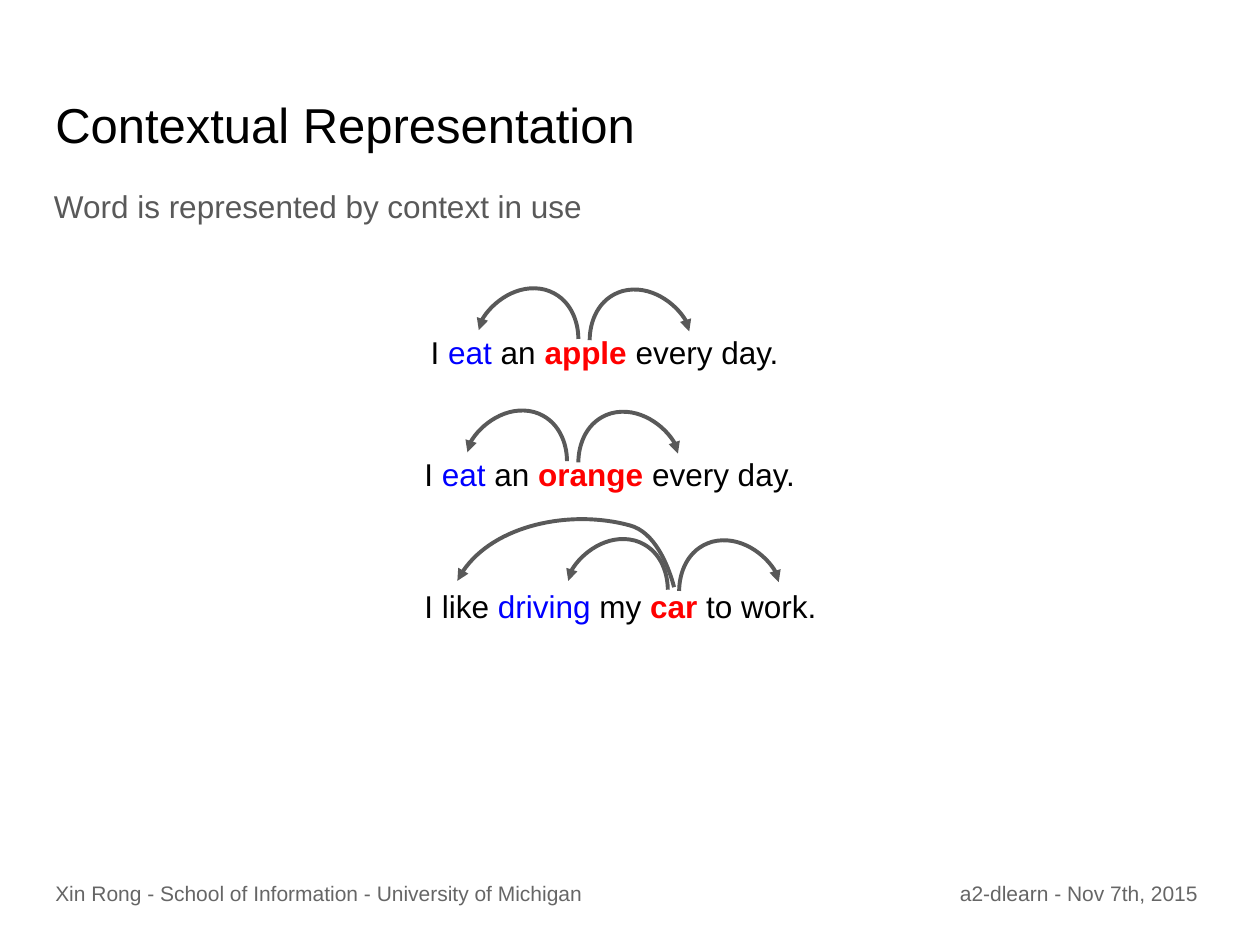
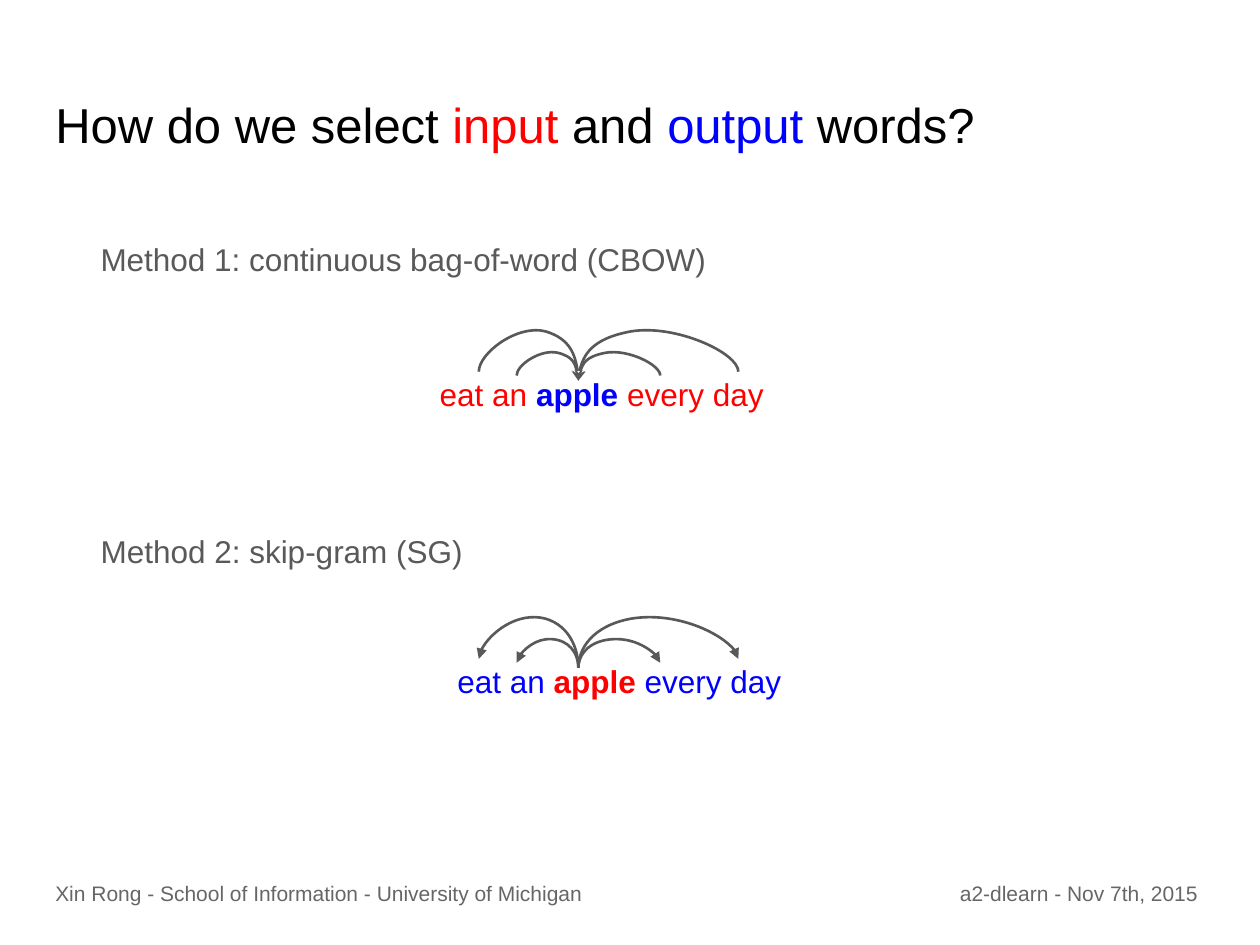
from dataclasses import dataclass

from lxml.etree import Element
from lxml.etree import SubElement
from pptx import Presentation
from pptx.dml.color import RGBColor
from pptx.enum.text import MSO_ANCHOR as Anchor
from pptx.oxml.ns import qn
from pptx.slide import Slide
from pptx.util import Inches, Pt

FONT = "Arial"
BLACK = RGBColor(0x00, 0x00, 0x00)
RED = RGBColor(0xFF, 0x00, 0x00)
BLUE = RGBColor(0x00, 0x00, 0xFF)
BODY_GRAY = RGBColor(0x59, 0x59, 0x59)
FOOTER_GRAY = RGBColor(0x66, 0x66, 0x66)

INSET = 0.1
SENTENCE_WIDTH, SENTENCE_HEIGHT = 3.47, 0.68
ARC_WIDTH = 0.79
TALL, LOW = 0.39, 0.22

Point = tuple[float, float]

ARC_SHAPE: list[Point] = [
    (0, 0), (0, -0.36), (0.08, -0.85), (0.33, -1),
    (0.61, -1.15), (1, -0.56), (1, -0.18),
]


@dataclass(frozen=True)
class Span:
    text: str
    color: RGBColor = BLACK
    bold: bool = False


@dataclass(frozen=True)
class TextBox:
    left: float
    top: float
    width: float
    height: float
    spans: tuple[Span, ...]
    size: float = 18
    indent: float = 0
    is_body: bool = False
    anchor: Anchor = Anchor.TOP


@dataclass(frozen=True)
class Sentence:
    left: float
    top: float
    spans: tuple[Span, ...]
    arc_x: float
    arc_y: float


@dataclass(frozen=True)
class Method:
    heading: TextBox
    sentence_top: float
    indent: float
    context_color: RGBColor
    center_color: RGBColor
    hub_y: float
    arrow_end: str
    arrow_type: str


FOOTERS = (
    TextBox(0.34, 6.89, 5.11, 0.39,
            (Span("Xin Rong - School of Information - University of Michigan", FOOTER_GRAY),), 12),
    TextBox(7.52, 6.89, 2.27, 0.39, (Span("a2-dlearn - Nov 7th, 2015", FOOTER_GRAY),), 12),
)

SENTENCES = (
    Sentence(3.32, 2.54,
             (Span("I "), Span("eat ", BLUE), Span("an "), Span("apple ", RED, True),
              Span("every day.")), 4.59, 2.69),
    Sentence(3.27, 3.51,
             (Span("I "), Span("eat ", BLUE), Span("an "), Span("orange ", RED, True),
              Span("every day.")), 4.5, 3.66),
    Sentence(3.27, 4.56,
             (Span("I like "), Span("driving ", BLUE), Span("my "), Span("car ", RED, True),
              Span("to work.")), 5.3, 4.68),
)

CAR_TO_LIKE: list[Point] = [
    (5.35, 4.66), (5.3, 4.47), (5.19, 4.22), (5, 4.17),
    (4.53, 4.04), (3.84, 4.18), (3.63, 4.61),
]

HUB_X = 4.59
HUB_ARCS = ((-ARC_WIDTH, TALL), (1.27, TALL), (-0.49, LOW), (0.65, LOW))

METHODS = (
    Method(TextBox(0.7, 1.76, 9.3, 0.52,
                   (Span("Method 1: continuous bag-of-word (CBOW)", BODY_GRAY),), is_body=True),
           2.88, 0.07, RED, BLUE, 3.02, "a:headEnd", "stealth"),
    Method(TextBox(0.7, 4.05, 3.28, 0.6,
                   (Span("Method 2: skip-gram (SG)", BODY_GRAY),), is_body=True,
                   anchor=Anchor.MIDDLE),
           5.15, 0.21, BLUE, RED, 5.3, "a:tailEnd", "triangle"),
)


def draw_text(page: Slide, item: TextBox) -> None:
    box = page.shapes.add_textbox(
        Inches(item.left), Inches(item.top), Inches(item.width), Inches(item.height))
    frame = box.text_frame
    frame.word_wrap = True
    frame.vertical_anchor = item.anchor
    frame.margin_left = Inches(INSET + item.indent)
    frame.margin_right = frame.margin_top = frame.margin_bottom = Inches(INSET)
    para = frame.paragraphs[0]
    if item.is_body:
        para.line_spacing = 1.15
        para.space_after = Pt(16)
    for span in item.spans:
        run = para.add_run()
        run.text = span.text
        run.font.name = FONT
        run.font.size = Pt(item.size)
        run.font.bold = span.bold
        run.font.color.rgb = span.color


def draw_curve(page: Slide, points: list[Point], thickness: float = 2.25,
               arrow_end: str = "a:tailEnd", arrow_type: str = "triangle") -> None:
    start, *knots = [(Inches(x), Inches(y)) for x, y in points[::3]]
    builder = page.shapes.build_freeform(*start)
    builder.add_line_segments(knots, close=False)
    curve = builder.convert_to_shape()
    segments = list(curve._element.iter(qn("a:lnTo")))
    for index, segment in enumerate(segments):
        segment.tag = qn("a:cubicBezTo")
        controls = points[3 * index + 1:3 * index + 3]
        for position, (x, y) in enumerate(controls):
            segment.insert(position, Element(
                qn("a:pt"), x=str(Inches(x) - curve.left), y=str(Inches(y) - curve.top)))
    curve.shadow.inherit = False
    curve.fill.background()
    curve.line.color.rgb = BODY_GRAY
    curve.line.width = Pt(thickness)
    outline = curve._element.spPr.find(qn("a:ln"))
    SubElement(outline, qn("a:round"))
    SubElement(outline, qn(arrow_end), type=arrow_type)


def arc(x: float, y: float, width: float, rise: float) -> list[Point]:
    return [(x + width * u, y + rise * v) for u, v in ARC_SHAPE]


def add_page(deck: Presentation, title: tuple[Span, ...]) -> Slide:
    page = deck.slides.add_slide(deck.slide_layouts[6])
    for footer in FOOTERS:
        draw_text(page, footer)
    draw_text(page, TextBox(0.34, 0.65, 9.32, 0.83, title, 28))
    return page


def build_context_page(deck: Presentation) -> None:
    page = add_page(deck, (Span("Contextual Representation"),))
    draw_text(page, TextBox(0.33, 1.34, 9.32, 0.61,
                            (Span("Word is represented by context in use", BODY_GRAY),),
                            is_body=True))
    for sentence in SENTENCES:
        draw_text(page, TextBox(sentence.left, sentence.top, SENTENCE_WIDTH,
                                SENTENCE_HEIGHT, sentence.spans))
        draw_curve(page, arc(sentence.arc_x, sentence.arc_y, -ARC_WIDTH, TALL))
        draw_curve(page, arc(sentence.arc_x + 0.09, sentence.arc_y + 0.01, ARC_WIDTH, TALL))
    draw_curve(page, CAR_TO_LIKE)


def build_methods_page(deck: Presentation) -> None:
    page = add_page(deck, (Span("How do we select "), Span("input ", RED), Span("and "),
                           Span("output ", BLUE), Span("words?")))
    for method in METHODS:
        draw_text(page, method.heading)
        spans = (Span("eat an ", method.context_color),
                 Span("apple ", method.center_color, True),
                 Span("every day", method.context_color))
        draw_text(page, TextBox(3.32, method.sentence_top, SENTENCE_WIDTH,
                                SENTENCE_HEIGHT, spans, indent=method.indent))
        for width, rise in HUB_ARCS:
            draw_curve(page, arc(HUB_X, method.hub_y, width, rise), 1.5,
                       method.arrow_end, method.arrow_type)


def main() -> None:
    deck = Presentation()
    deck.slide_width = Inches(10)
    deck.slide_height = Inches(7.5)
    build_context_page(deck)
    build_methods_page(deck)
    deck.save("out.pptx")


if __name__ == "__main__":
    main()
